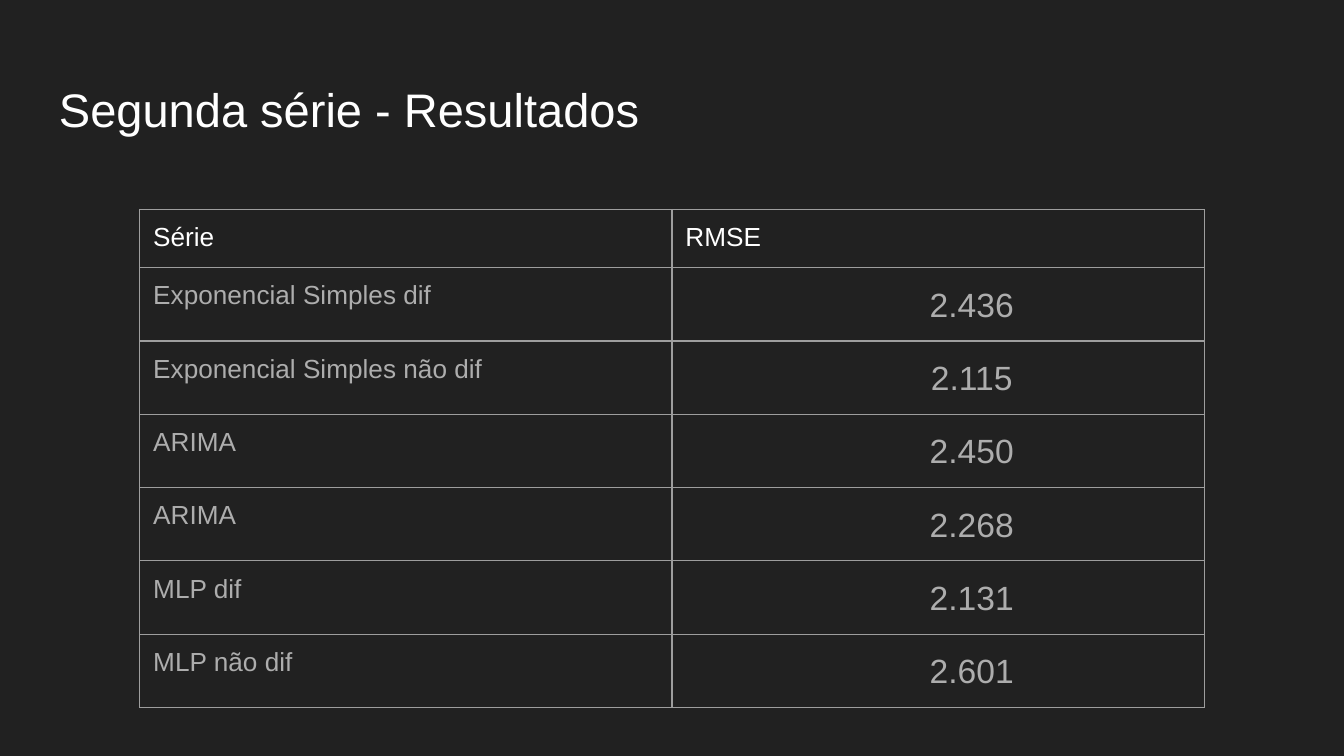
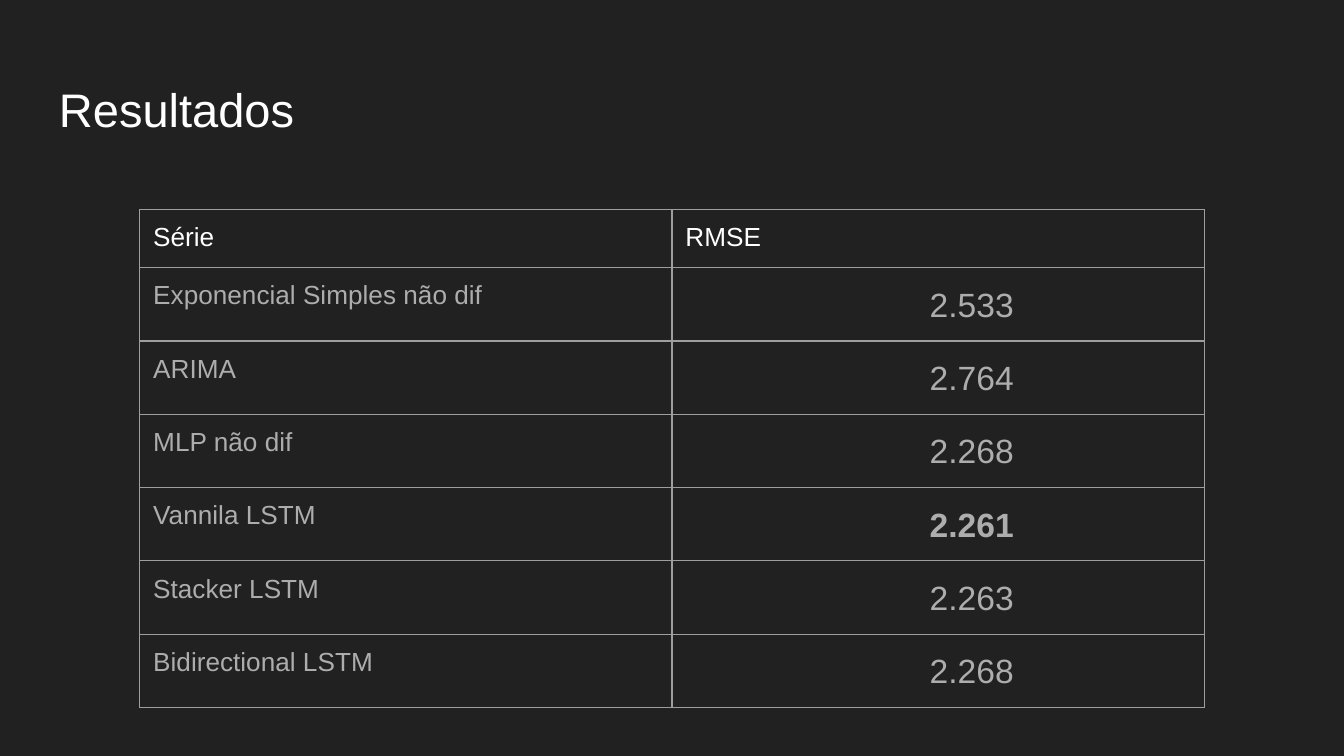
from dataclasses import dataclass
from typing import Optional

from lxml import etree
from pptx import Presentation
from pptx import util as u
from pptx.dml.color import RGBColor
from pptx.enum import text
from pptx.oxml import ns

WIDE, HIGH = u.Inches(10), u.Inches(5.625)
COLS = ROWS = 100  # layout grid
FONT = "Arial"
INSET = u.Inches(0.1)
INDENT = u.Inches(0.5)
RULE = u.Pt(0.75)
COLOR = {"back": "212121", "title": "FFFFFF", "body": "ADADAD", "rule": "9E9E9E"}
HEADS = ("Série", "RMSE")


@dataclass(frozen=True)
class Box:
    """A place on the grid, in columns and rows."""
    left: float
    top: float
    width: float
    height: float

    def place(self) -> tuple[int, int, int, int]:
        return (round(self.left * WIDE / COLS), round(self.top * HIGH / ROWS),
                round(self.width * WIDE / COLS), round(self.height * HIGH / ROWS))


@dataclass(frozen=True)
class Score:
    model: str
    error: str
    best: bool = False


@dataclass(frozen=True)
class Page:
    title: str
    scores: tuple[Score, ...]


TITLE = Box(3.4, 8.7, 93.2, 11.2)
LINE = Box(10.4, 27.7, 79.2, 7.5)  # first table row

PAGES = (
    Page("Segunda série - Resultados", (
        Score("Exponencial Simples dif", "2.436"),
        Score("Exponencial Simples não dif", "2.115"),
        Score("ARIMA", "2.450"),
        Score("ARIMA", "2.268"),
        Score("MLP dif", "2.131"),
        Score("MLP não dif", "2.601"),
    )),
    Page("Resultados", (
        Score("Exponencial Simples não dif", "2.533"),
        Score("ARIMA", "2.764"),
        Score("MLP não dif", "2.268"),
        Score("Vannila LSTM", "2.261", best=True),
        Score("Stacker LSTM", "2.263"),
        Score("Bidirectional LSTM", "2.268"),
    )),
)


def write(frame, words: str, size: float, color: str, bold: Optional[bool] = None):
    """Fill a text frame with one styled paragraph and return it."""
    para = frame.paragraphs[0]
    para.text = words
    font = para.font
    font.name, font.size, font.bold = FONT, u.Pt(size), bold
    font.color.rgb = RGBColor.from_string(COLOR[color])
    return para


def pad(owner) -> None:
    owner.margin_left = owner.margin_right = INSET
    owner.margin_top = owner.margin_bottom = INSET


def frame_cell(cell) -> None:
    """Give a cell its insets, four borders and a clear fill."""
    pad(cell)
    props = cell._tc.get_or_add_tcPr()
    for side in ("lnL", "lnR", "lnT", "lnB"):
        line = etree.SubElement(props, ns.qn(f"a:{side}"), w=str(RULE))
        fill = etree.SubElement(line, ns.qn("a:solidFill"))
        etree.SubElement(fill, ns.qn("a:srgbClr"), val=COLOR["rule"])
    cell.fill.background()


def add_title(slide, words: str) -> None:
    frame = slide.shapes.add_textbox(*TITLE.place()).text_frame
    frame.word_wrap = True
    frame.vertical_anchor = text.MSO_ANCHOR.BOTTOM
    pad(frame)
    write(frame, words, 25.2, "title")


def add_scores(slide, scores: tuple[Score, ...]) -> None:
    left, top, width, height = LINE.place()
    count = len(scores) + 1
    table = slide.shapes.add_table(count, len(HEADS), left, top, width, height * count).table
    table.first_row = table.horz_banding = False
    for row in table.rows:
        row.height = height
    for cell in table.iter_cells():
        frame_cell(cell)
    # Header
    for col, head in enumerate(HEADS):
        write(table.cell(0, col).text_frame, head, 14, "title")
    # One row per model
    for row, score in enumerate(scores, 1):
        write(table.cell(row, 0).text_frame, score.model, 14, "body")
        para = write(table.cell(row, 1).text_frame, score.error, 18, "body", score.best)
        para.alignment = text.PP_ALIGN.CENTER
        para.line_spacing = 1.15
        para.space_after = u.Pt(12)
        props = para._p.get_or_add_pPr()
        props.set("marL", str(INDENT))
        props.set("indent", "0")


def main() -> None:
    deck = Presentation()
    deck.slide_width, deck.slide_height = WIDE, HIGH
    for page in PAGES:
        slide = deck.slides.add_slide(deck.slide_layouts[6])
        fill = slide.background.fill
        fill.solid()
        fill.fore_color.rgb = RGBColor.from_string(COLOR["back"])
        add_title(slide, page.title)
        add_scores(slide, page.scores)
    deck.save("out.pptx")


if __name__ == "__main__":
    main()
